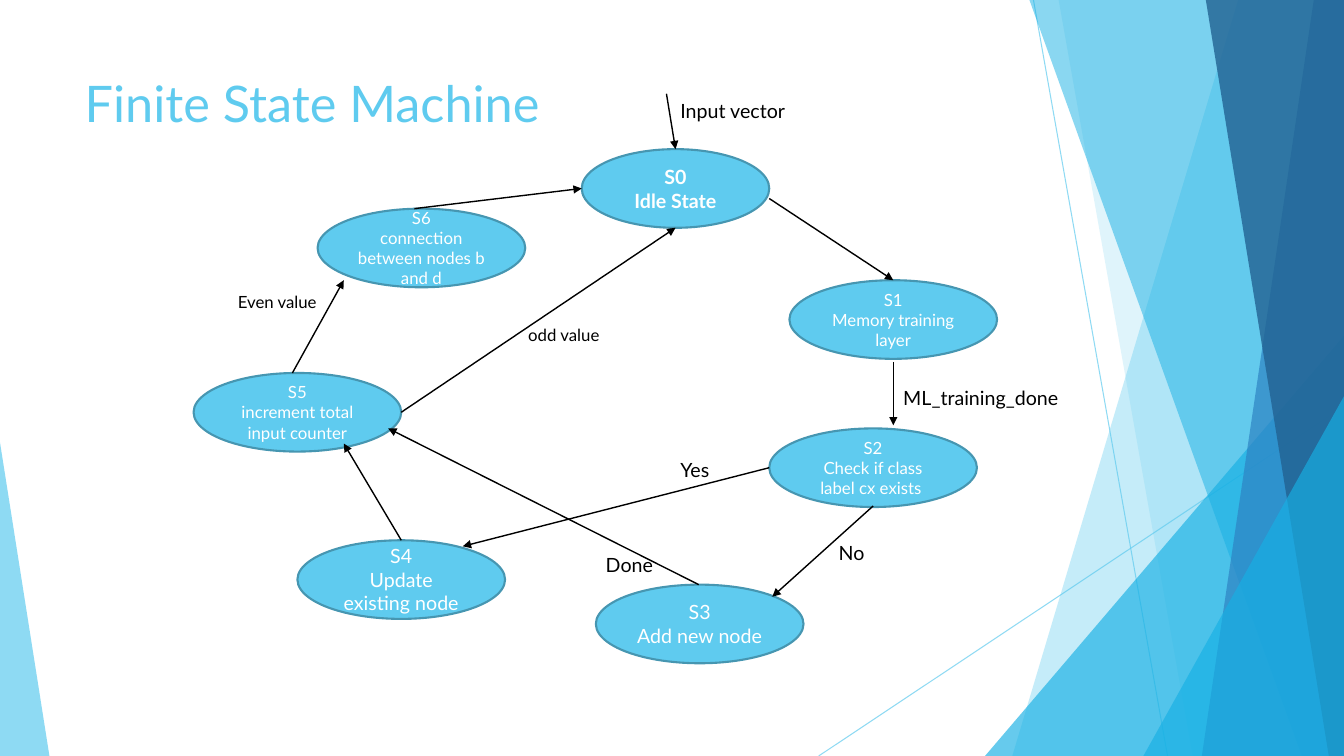
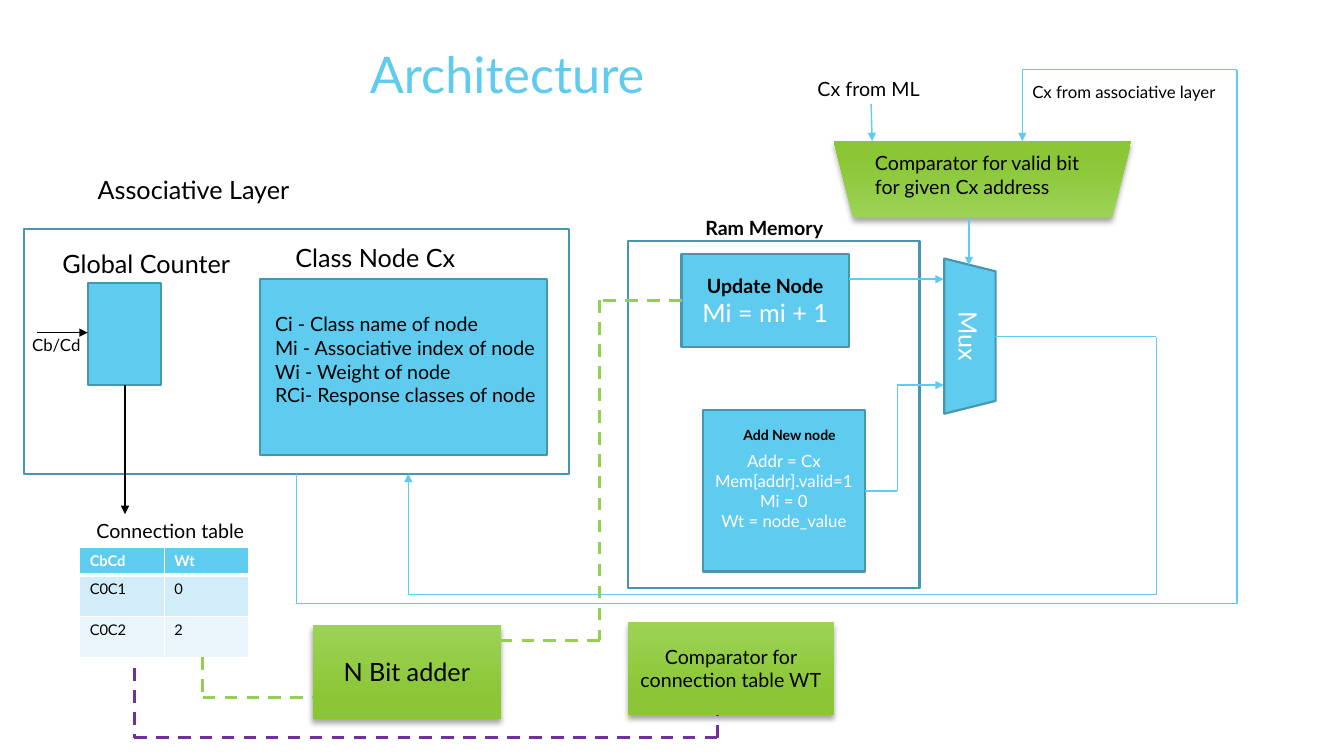
"""Build two slides: a state machine and its hardware layout."""
import dataclasses
import itertools
import typing

import lxml.etree
import pptx
import pptx.dml.color
import pptx.enum.dml
import pptx.enum.shapes
import pptx.enum.text
import pptx.oxml.ns
import pptx.slide
import pptx.util

Inches = pptx.util.Inches
Shape = pptx.enum.shapes.MSO_SHAPE
Align = pptx.enum.text.PP_ALIGN
Anchor = pptx.enum.text.MSO_ANCHOR
Slide = pptx.slide.Slide
Point = tuple[float, float]

FONT = "Lato"
SKY, EDGE, AQUA = "5FCBEF", "4696B1", "17B0E4"
BLUE, NAVY = "2E83C3", "226292"
BLACK, WHITE = "000000", "FFFFFF"
LIME, LEAF, GRASS, GRAPE = "9CD356", "8AC635", "92D050", "7030A0"
WIDE, HIGH = 13.33, 7.5


@dataclasses.dataclass(frozen=True)
class Box:
    left: float
    top: float
    width: float
    height: float
    text: str = ""
    size: float = 12
    tint: str = WHITE
    bold: bool = False
    kind: Shape = Shape.RECTANGLE
    fill: str = SKY
    turn: float = 0


@dataclasses.dataclass(frozen=True)
class Label:
    left: float
    top: float
    width: float
    height: float
    text: str
    size: float = 14
    bold: bool = False
    align: Align = Align.LEFT


@dataclasses.dataclass(frozen=True)
class Route:
    points: tuple[Point, ...]
    tint: str = SKY
    width: float = 1
    arrow: bool = True
    dash: bool = False


@dataclasses.dataclass(frozen=True)
class Facet:
    points: tuple[Point, ...]
    tint: str
    alpha: int


def color(code: str) -> pptx.dml.color.RGBColor:
    return pptx.dml.color.RGBColor.from_string(code)


def add(parent: typing.Any, tag: str, **attrs: str) -> typing.Any:
    return lxml.etree.SubElement(parent, pptx.oxml.ns.qn(tag), attrs)


def fade(item: typing.Any, alpha: int) -> None:
    for node in item._element.spPr.iter(pptx.oxml.ns.qn("a:srgbClr")):
        add(node, "a:alpha", val=str(alpha * 1000))


def write(frame: typing.Any, text: str, *, size: float, tint: str = BLACK,
          bold: bool = False, align: Align = Align.LEFT) -> None:
    for line in text.split("\n"):
        last = frame.paragraphs[-1]
        para = frame.add_paragraph() if last.runs else last
        para.alignment = align
        run = para.add_run()
        run.text = line
        run.font.name = FONT
        run.font.size = pptx.util.Pt(size)
        run.font.bold = bold
        run.font.color.rgb = color(tint)


def place(item: Box | Label) -> list[int]:
    return [Inches(n) for n in (item.left, item.top, item.width, item.height)]


def head(slide: Slide, item: Label) -> None:
    title = slide.shapes.title
    title.left, title.top, title.width, title.height = place(item)
    title.text_frame.vertical_anchor = Anchor.TOP
    write(title.text_frame, item.text, size=item.size, tint=SKY, align=item.align)


def draw(slide: Slide, box: Box) -> typing.Any:
    shape = slide.shapes.add_shape(box.kind, *place(box))
    shape.rotation = box.turn
    shape.shadow.inherit = False
    if box.fill == LIME:
        glow(shape)
    else:
        shape.fill.solid()
        shape.fill.fore_color.rgb = color(box.fill)
        shape.line.color.rgb = color(EDGE)
        shape.line.width = pptx.util.Pt(1.5)
    frame = shape.text_frame
    frame.word_wrap = True
    frame.vertical_anchor = Anchor.MIDDLE
    if box.text:
        write(frame, box.text, size=box.size, tint=box.tint, bold=box.bold,
              align=Align.CENTER)
    return shape


def glow(shape: typing.Any) -> None:
    shape.fill.gradient()
    shape.fill.gradient_angle = 270
    for stop, tint, spot in zip(shape.fill.gradient_stops, (LIME, LEAF), (0, 0.78)):
        stop.color.rgb = color(tint)
        stop.position = spot
    shape.line.fill.background()
    effect = shape._element.spPr.find(pptx.oxml.ns.qn("a:effectLst"))
    shade = add(effect, "a:outerShdw", blurRad=str(pptx.util.Pt(4)),
                dist=str(pptx.util.Pt(3)), dir="5400000", rotWithShape="0")
    add(add(shade, "a:srgbClr", val=BLACK), "a:alpha", val="35000")


def note(slide: Slide, item: Label) -> None:
    frame = slide.shapes.add_textbox(*place(item)).text_frame
    frame.word_wrap = True
    write(frame, item.text, size=item.size, bold=item.bold, align=item.align)


def link(slide: Slide, route: Route, alpha: int = 100) -> None:
    for start, end in itertools.pairwise(route.points):
        line = slide.shapes.add_connector(
            pptx.enum.shapes.MSO_CONNECTOR.STRAIGHT,
            *(Inches(n) for n in (*start, *end)))
        line.line.color.rgb = color(route.tint)
        line.line.width = pptx.util.Pt(route.width)
        if route.dash:
            line.line.dash_style = pptx.enum.dml.MSO_LINE.DASH
        if route.arrow and end == route.points[-1]:
            add(line.line._get_or_add_ln(), "a:tailEnd", type="triangle")
        add(line._element.spPr, "a:effectLst")
        if alpha < 100:
            fade(line, alpha)


def facets(slide: Slide) -> None:
    right, base = (WIDE, 0), (WIDE, HIGH)
    for points in (((10.25, 0), (11.58, HIGH)), ((WIDE, 4.03), (8.12, HIGH))):
        link(slide, Route(points, width=0.75, arrow=False), alpha=70)
    for facet in (
        Facet(((12.28, 0), right, base, (10.04, HIGH)), SKY, 36),
        Facet(((10.5, 0), right, base, (11.83, HIGH)), SKY, 20),
        Facet(((WIDE, 3.33), base, (9.77, HIGH)), AQUA, 66),
        Facet(((10.21, 0), right, base, (12.91, HIGH)), AQUA, 50),
        Facet(((13.03, 0), right, base, (11.92, HIGH)), BLUE, 70),
        Facet(((11.96, 0), right, base, (13.18, HIGH)), NAVY, 80),
        Facet(((WIDE, 3.93), base, (11.34, HIGH)), AQUA, 66),
        Facet(((0, 4.39), (0.49, HIGH), (0, HIGH)), SKY, 70),
    ):
        first, *rest = [(Inches(x), Inches(y)) for x, y in facet.points]
        pen = slide.shapes.build_freeform(*first)
        pen.add_line_segments(rest, close=True)
        shape = pen.convert_to_shape()
        shape.shadow.inherit = False
        shape.fill.solid()
        shape.fill.fore_color.rgb = color(facet.tint)
        shape.line.fill.background()
        fade(shape, facet.alpha)


def states(slide: Slide) -> None:
    facets(slide)
    head(slide, Label(0.74, 0.67, 9.4, 1.44, "Finite State Machine", 36))
    for left, top, width, size, text in (
        (5.77, 1.48, 1.86, 14, "S0\nIdle State"),
        (2.95, 5.36, 2.06, 14, "S4\nUpdate existing node"),
        (1.92, 3.7, 2.06, 12, "S5\nincrement total input counter"),
        (7.83, 2.78, 2.06, 12, "S1\nMemory training layer"),
        (7.63, 4.25, 2.06, 12, "S2\nCheck if class label cx exists "),
        (5.91, 5.8, 2.06, 14, "S3\nAdd new node"),
        (3.15, 2.07, 2.06, 12, "S6\nconnection between nodes b and d"),
    ):
        draw(slide, Box(left, top, width, 0.78, text, size,
                        bold=text.startswith("S0"), kind=Shape.OVAL))
    for points in (
        ((7.63, 1.97), (8.86, 2.78)), ((8.86, 3.59), (8.86, 4.22)),
        ((8.66, 5.02), (7.66, 5.92)), ((6.93, 5.8), (3.85, 4.25)),
        ((3.98, 5.36), (3.41, 4.4)), ((2.9, 3.7), (3.41, 2.78)),
        ((4.11, 2.07), (5.77, 1.87)), ((7.63, 4.64), (4.59, 5.42)),
        ((3.98, 4.09), (6.7, 2.26)), ((6.61, 0.93), (6.7, 1.48)),
    ):
        link(slide, Route(points, BLACK))
    for item in (
        Label(6.65, 0.93, 1.7, 0.34, "Input vector"),
        Label(8.86, 3.78, 1.89, 0.34, "ML_training_done"),
        Label(8.22, 5.32, 1.15, 0.34, "No"),
        Label(6.65, 4.49, 0.99, 0.34, "Yes"),
        Label(5.91, 5.44, 1.33, 0.34, "Done"),
        Label(5.14, 3.17, 1.59, 0.3, "odd value", 12),
        Label(2.26, 2.85, 1.59, 0.3, "Even value", 12),
    ):
        note(slide, item)


def grid(slide: Slide) -> None:
    rows = (("CbCd", "Wt"), ("C0C1", "0"), ("C0C2", "2"))
    fills, highs = (SKY, "D2ECF9", "EAF6FC"), (0.27, 0.41, 0.41)
    table = slide.shapes.add_table(3, 2, Inches(0.79), Inches(5.43),
                                   Inches(1.68), Inches(sum(highs))).table
    for r, row in enumerate(rows):
        table.rows[r].height = Inches(highs[r])
        for c, text in enumerate(row):
            cell = table.cell(r, c)
            write(cell.text_frame, text, size=10.5, bold=r == 0,
                  tint=BLACK if r else WHITE)
            props = cell._tc.get_or_add_tcPr()
            for side in "LRTB":
                thick = 3 if (r, side) in ((0, "B"), (1, "T")) else 1
                edge = add(props, f"a:ln{side}", w=str(pptx.util.Pt(thick)))
                add(add(edge, "a:solidFill"), "a:srgbClr", val=WHITE)
            cell.fill.solid()
            cell.fill.fore_color.rgb = color(fills[r])


def layout(slide: Slide) -> None:
    step = Shape.FLOWCHART_PROCESS
    head(slide, Label(2.01, 0.38, 6.04, 0.73, "Architecture", 36,
                      align=Align.CENTER))
    for box in (
        Box(6.23, 2.39, 2.89, 3.44, kind=step, fill=WHITE),
        Box(0.24, 2.27, 5.4, 2.43, fill=WHITE),
        Box(2.58, 2.77, 2.85, 1.74),
        Box(0.87, 2.81, 0.73, 1.01),
        Box(8.27, 1.4, 2.95, 0.76, kind=Shape.TRAPEZOID, fill=LIME, turn=180),
        Box(8.85, 3.08, 1.54, 0.51, "Mux", 18, kind=Shape.TRAPEZOID, turn=90),
        Box(6.97, 4.07, 1.61, 1.6,
            "Addr = Cx\nMem[addr].valid=1\nMi = 0\nWt = node_value", kind=step),
        Box(3.1, 6.2, 1.87, 0.93, "N Bit adder", 18, BLACK, fill=LIME),
        Box(6.23, 6.17, 2.04, 0.92, "Comparator for connection table WT", 14,
            BLACK, kind=step, fill=LIME),
    ):
        draw(slide, box)
    update = draw(slide, Box(6.76, 2.52, 1.66, 0.92, "Update Node", 14, BLACK,
                             True, step))
    write(update.text_frame, "Mi = mi + 1", size=18, tint=WHITE, align=Align.CENTER)
    grid(slide)
    for item in (
        Label(0.87, 1.68, 4.87, 0.4, "Associative Layer", 18),
        Label(2.83, 2.36, 2.41, 0.4, "Class Node Cx", 18),
        Label(0.52, 2.41, 2.06, 0.4, "Global Counter", 18),
        Label(2.63, 3.05, 2.85, 1.04,
              "Ci - Class name of node\nMi - Associative index of node\n"
              "Wi - Weight of node\nRCi- Response classes of node"),
        Label(0.22, 3.27, 1.37, 0.3, "Cb/Cd", 12),
        Label(8.58, 1.45, 2.47, 0.57,
              "Comparator for valid bit for given Cx address"),
        Label(8.01, 0.71, 1.6, 0.34, "Cx from ML"),
        Label(10.14, 0.76, 2.66, 0.3, "Cx from associative layer", 12),
        Label(7.12, 4.18, 1.42, 0.27, "Add New node", 10, True, Align.CENTER),
        Label(0.62, 5.1, 2.14, 0.34, "Connection table", align=Align.CENTER),
        Label(6.32, 2.09, 2.52, 0.34, "Ram Memory", 14, True, Align.CENTER),
    ):
        note(slide, item)
    for route in (
        Route(((0.37, 3.3), (0.87, 3.3)), BLACK),
        Route(((1.24, 3.82), (1.24, 5.1)), BLACK),
        Route(((8.64, 1.03), (8.65, 1.4))),
        Route(((2.94, 4.7), (2.94, 5.99), (12.27, 5.99), (12.27, 0.69),
               (10.14, 0.69), (10.14, 1.4))),
        Route(((9.61, 2.16), (9.61, 2.63))),
        Route(((8.42, 2.77), (9.36, 2.77))),
        Route(((8.58, 4.87), (8.9, 4.87), (8.9, 3.82), (9.36, 3.82))),
        Route(((9.87, 3.34), (11.47, 3.34), (11.47, 5.9), (4.05, 5.9), (4.05, 4.7))),
        Route(((6.76, 2.98), (5.95, 2.98), (5.95, 6.35), (4.97, 6.35)),
              GRASS, 2.25, False, True),
        Route(((2.01, 6.52), (2.01, 6.92), (3.1, 6.92)), GRASS, 2.25, False, True),
        Route(((1.33, 6.63), (1.33, 7.32), (7.12, 7.32), (7.12, 7.09)),
              GRAPE, 2.25, False, True),
    ):
        link(slide, route)


def main() -> None:
    deck = pptx.Presentation()
    deck.slide_width, deck.slide_height = Inches(WIDE), Inches(HIGH)
    for build in (states, layout):
        build(deck.slides.add_slide(deck.slide_layouts[5]))
    deck.save("out.pptx")


if __name__ == "__main__":
    main()
